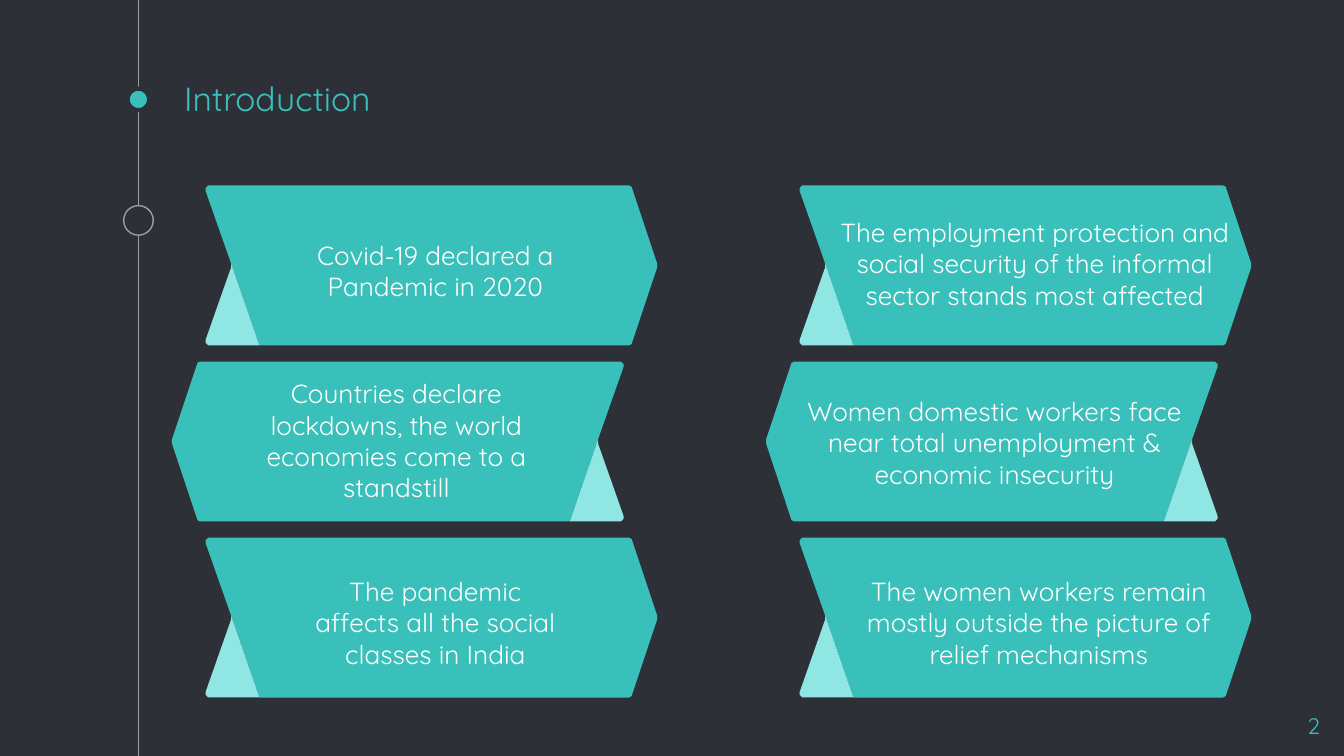
from lxml import etree
from pptx import Presentation
from pptx.dml.color import RGBColor
from pptx.enum.shapes import MSO_CONNECTOR, MSO_SHAPE
from pptx.enum.text import MSO_ANCHOR, MSO_AUTO_SIZE, PP_ALIGN
from pptx.oxml.ns import qn
from pptx.util import Inches, Pt

STRAIGHT = MSO_CONNECTOR.STRAIGHT
OVAL = MSO_SHAPE.OVAL
TOP, BOTTOM = MSO_ANCHOR.TOP, MSO_ANCHOR.BOTTOM
NO_FIT, GROW = MSO_AUTO_SIZE.NONE, MSO_AUTO_SIZE.SHAPE_TO_FIT_TEXT
LEFT, CENTER, RIGHT = PP_ALIGN.LEFT, PP_ALIGN.CENTER, PP_ALIGN.RIGHT

COLORS = {"ground": "2E3037", "teal": "39C0BA", "pale": "90E6E2",
          "gray": "999FA9", "white": "FFFFFF"}
FONT = "Quicksand"
WIDTH = Inches(10)
HEIGHT = WIDTH * 9 // 16
UNIT = Inches(0.01)

COLS, PITCH, SHIFT = 337, 131, 26
BODY = [(315, 119), (317, 118), (336, 61), (336, 58), (317, 1), (315, 0),
        (2, 0), (0, 2), (0, 4), (19, 58), (40, 119)]
FOLD = [(19, 61), (0, 115), (0, 117), (2, 119), (40, 119), (19, 58)]

CAUSES = [
    ("Covid-19 declared a Pandemic in 2020", (67, 30, 208, 67)),
    ("Countries declare lockdowns, the world economies come to a standstill",
     (35, 2, 266, 114)),
    ("The pandemic affects all the social classes in India",
     (67, 18, 208, 91)),
]
EFFECTS = [
    ("The employment protection and social security of the informal sector "
     "stands most affected", (19, 13, 312, 91)),
    ("Women domestic workers face near total unemployment & economic "
     "insecurity", (10, 15, 322, 91)),
    ("The women workers remain mostly outside the picture of relief "
     "mechanisms", (17, 18, 322, 91)),
]


def color(name):
    """Return the named colour."""
    return RGBColor.from_string(COLORS[name])


def write(shape, text, size, ink, align, anchor=TOP, fit=NO_FIT):
    """Fill a shape with one styled paragraph."""
    frame = shape.text_frame
    frame.text = text
    frame.word_wrap = True
    frame.auto_size = fit
    frame.vertical_anchor = anchor
    frame.margin_left = frame.margin_right = Inches(0.1)
    frame.margin_top = frame.margin_bottom = Inches(0.1)
    para = frame.paragraphs[0]
    para.alignment = align
    font = para.runs[0].font
    font.name, font.size = FONT, Pt(size)
    font.color.rgb = color(ink)


def add_dot(slide, x, y, size, fill, edge, weight):
    """Draw a circle centred on a point."""
    dot = slide.shapes.add_shape(OVAL, x - size // 2, y - size // 2, size, size)
    dot.shadow.inherit = False
    dot.fill.solid()
    dot.fill.fore_color.rgb = color(fill)
    dot.line.color.rgb = color(edge)
    dot.line.width = Pt(weight)


def add_rail(slide, x, height):
    """Draw the timeline with its two dots."""
    rail = slide.shapes.add_connector(STRAIGHT, x, 0, x, height)
    rail.line.color.rgb = color("gray")
    rail.line.width = Pt(0.75)
    etree.SubElement(rail._element.spPr, qn("a:effectLst"))
    add_dot(slide, x, Inches(0.74), Inches(0.16), "teal", "ground", 2.25)
    add_dot(slide, x, Inches(1.64), Inches(0.22), "ground", "gray", 0.75)


def add_part(group, points, left, top, flip, fill):
    """Draw one ribbon part, mirrored when flip is set."""
    spots = [(COLS - x if flip else x, y) for x, y in points]
    pen = group.shapes.build_freeform(*spots[0], scale=UNIT)
    pen.add_line_segments(spots[1:], close=True)
    part = pen.convert_to_shape(left, top)
    part.shadow.inherit = False
    part.fill.solid()
    part.fill.fore_color.rgb = color(fill)
    part.line.fill.background()


def add_stack(slide, left, top, items):
    """Stack ribbons that point right and left by turns."""
    group = slide.shapes.add_group_shape()
    places = []
    for row in range(len(items)):
        flip = row % 2 == 1
        x, y = left - flip * SHIFT * UNIT, top + row * PITCH * UNIT
        places.append((x, y))
        add_part(group, BODY, x, y, flip, "teal")
        add_part(group, FOLD, x, y, flip, "pale")
    for (x, y), (text, (col, line, wide, high)) in zip(places, items):
        box = group.shapes.add_textbox(x + col * UNIT, y + line * UNIT,
                                       wide * UNIT, high * UNIT)
        write(box, text, 14, "white", CENTER, fit=GROW)


def add_head(slide, left, top, width, height):
    """Place the slide title."""
    title = slide.shapes.title
    title.left, title.top = left, top
    title.width, title.height = width, height
    write(title, "Introduction", 18, "teal", LEFT, BOTTOM)


def add_page(slide, left, top, width, height):
    """Place the page number."""
    box = slide.shapes.add_textbox(left, top, width, height)
    write(box, "2", 12, "teal", RIGHT)


def main():
    """Build and save the deck."""
    deck = Presentation()
    deck.slide_width, deck.slide_height = WIDTH, HEIGHT
    slide = deck.slides.add_slide(deck.slide_layouts[5])
    slide.background.fill.solid()
    slide.background.fill.fore_color.rgb = color("ground")
    add_rail(slide, Inches(1.03), HEIGHT)
    add_head(slide, Inches(1.27), Inches(0.6), Inches(7.5), Inches(0.38))
    add_page(slide, Inches(9.32), Inches(5.2), Inches(0.6), Inches(0.34))
    add_stack(slide, Inches(1.53), Inches(1.38), CAUSES)
    add_stack(slide, Inches(5.95), Inches(1.38), EFFECTS)
    deck.save("out.pptx")


if __name__ == "__main__":
    main()
